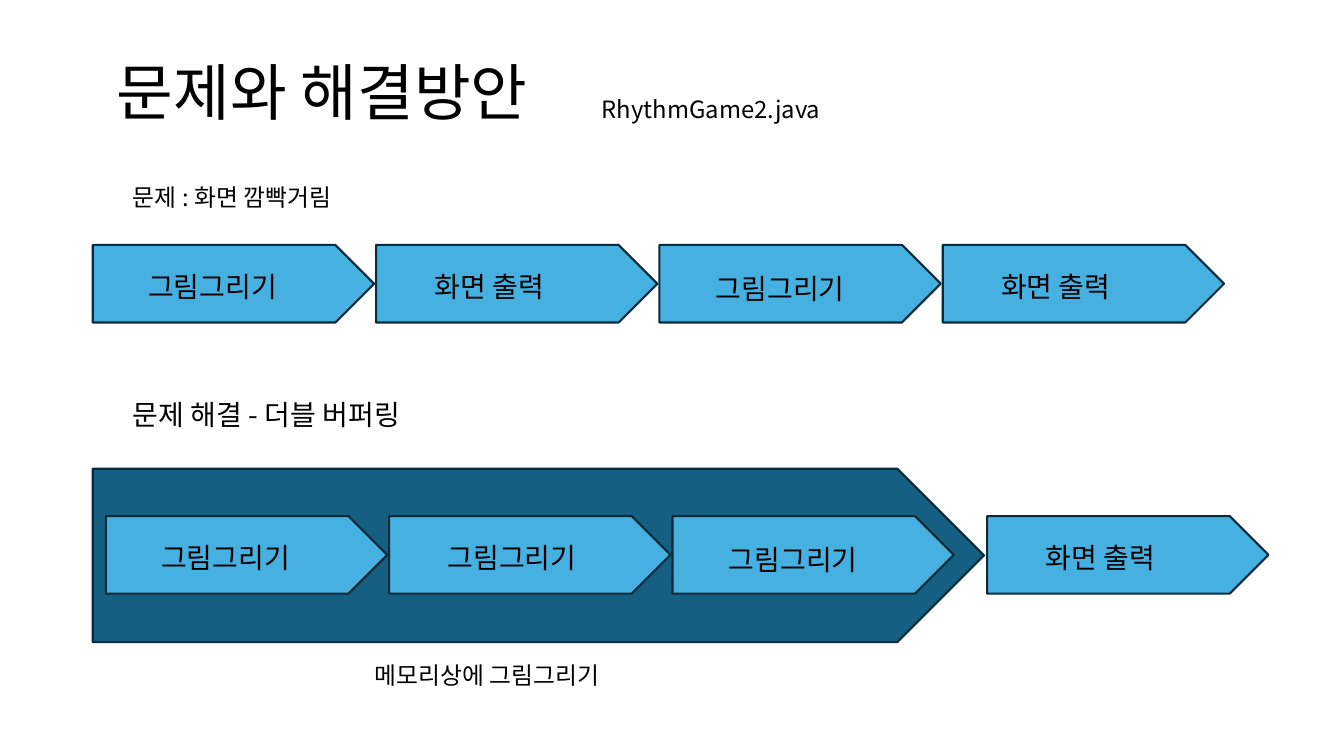
from dataclasses import dataclass
from lxml import etree
from pptx import Presentation
from pptx.dml.color import RGBColor
from pptx.enum.shapes import MSO_SHAPE
from pptx.enum.text import MSO_ANCHOR, PP_ALIGN
from pptx.oxml.ns import qn
from pptx.util import Inches, Pt

ARROW = MSO_SHAPE.PENTAGON
LEFT = PP_ALIGN.LEFT
TOP = MSO_ANCHOR.TOP
MIDDLE = MSO_ANCHOR.MIDDLE


@dataclass(frozen=True)
class Theme:
    font: str = "Noto Sans CJK KR"
    ink: str = "000000"
    step: str = "46B1E1"
    group: str = "156082"
    edge: str = "092A39"
    head: int = 44
    label: int = 20
    note: int = 17


theme = Theme()
deck = Presentation()
deck.slide_width = Inches(13.33)
deck.slide_height = Inches(7.5)
slide = deck.slides.add_slide(deck.slide_layouts[5])


def write(text, box, shape=None, size=theme.label, line=0.9, before=10, inset=0.1, anchor=TOP):
    area = [Inches(v) for v in box]
    shape = shape or slide.shapes.add_textbox(*area)
    shape.left, shape.top, shape.width, shape.height = area
    frame = shape.text_frame
    frame.word_wrap = True
    frame.vertical_anchor = anchor
    frame.margin_left = Inches(inset)
    para = frame.paragraphs[0]
    para.alignment = LEFT
    para.line_spacing = line
    para.space_before = Pt(before)
    run = para.add_run()
    run.text = text
    run.font.size = Pt(size)
    run.font.color.rgb = RGBColor.from_string(theme.ink)
    run.font.name = theme.font
    etree.SubElement(run.font._element, qn("a:ea"), typeface=theme.font)


def arrow(box, fill):
    shape = slide.shapes.add_shape(ARROW, *[Inches(v) for v in box])
    shape.shadow.inherit = False
    shape.fill.solid()
    shape.fill.fore_color.rgb = RGBColor.from_string(fill)
    shape.line.color.rgb = RGBColor.from_string(theme.edge)
    shape.line.width = Pt(1.5)


write("문제와 해결방안", (0.92, 0.44, 10.84, 1.02), shape=slide.shapes.title,
      size=theme.head, before=0, inset=0.24, anchor=MIDDLE)
write("RhythmGame2.java", (5.87, 0.95, 2.45, 0.5), size=theme.note, line=0.8)
write("문제 : 화면 깜빡거림", (1.22, 1.82, 2.45, 0.36), size=theme.note, line=0.8)
write("문제 해결 - 더블 버퍼링", (1.22, 3.93, 3.5, 0.42))
write("메모리상에 그림그리기", (3.62, 6.56, 2.9, 0.5), size=theme.note, line=0.8)

arrow((0.92, 4.65, 8.84, 1.72), theme.group)

draw, show = "그림그리기", "화면 출력"
pitch = 2.81
shifts = [(0.45, 0.23), (0.48, 0.23), (0.46, 0.25), (0.48, 0.23)]
flows = [
    (0.92, 2.43, 0, [draw, show, draw, show]),
    (1.05, 5.12, 0.31, [draw, draw, draw, show]),
]
for left, top, gap, steps in flows:
    for col, (step, (dx, dy)) in enumerate(zip(steps, shifts)):
        x = left + col * pitch + (gap if col == 3 else 0)
        arrow((x, top, 2.79, 0.77), theme.step)
        write(step, (x + dx, top + dy, 2.45, 0.5))

deck.save("out.pptx")
